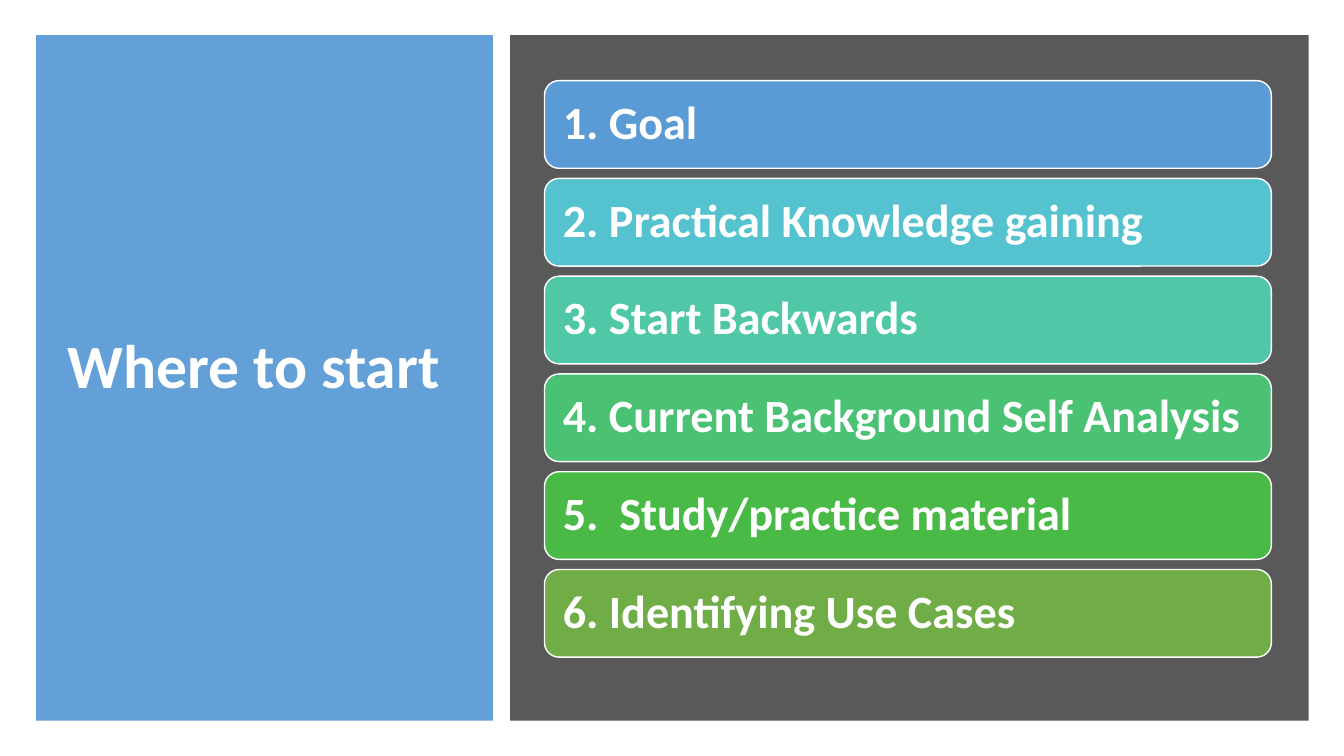
from lxml.etree import SubElement
from pptx import Presentation
from pptx.dml.color import RGBColor
from pptx.enum.shapes import MSO_SHAPE
from pptx.enum.text import MSO_ANCHOR, PP_ALIGN
from pptx.oxml.ns import qn
from pptx.util import Emu, Pt

PX = 9144
WHITE = "FFFFFF"
STEPS = [
    ("1. Goal", "5B9BD5"),
    ("2. Practical Knowledge gaining", "55C3CF"),
    ("3. Start Backwards", "50C8A7"),
    ("4. Current Background Self Analysis", "4BC174"),
    ("5.  Study/practice material", "4ABA46"),
    ("6. Identifying Use Cases", "70AD47"),
]


def px(n):
    return Emu(n * PX)


def rgb(value):
    return RGBColor.from_string(value)


class Deck:
    """Slide builder holding the shared style and the current slide."""

    def __init__(self, width, height, font="Calibri"):
        self.font = font
        self.prs = Presentation()
        self.prs.slide_width, self.prs.slide_height = px(width), px(height)
        self.slide = self.prs.slides.add_slide(self.prs.slide_layouts[5])

    def box(self, kind, x, y, w, h, fill, line=None, opacity=None):
        sp = self.slide.shapes.add_shape(kind, px(x), px(y), px(w), px(h))
        sp.shadow.inherit = False
        sp.fill.solid()
        sp.fill.fore_color.rgb = rgb(fill)
        if opacity:
            clr = next(sp.fill._xPr.iter(qn("a:srgbClr")))
            SubElement(clr, qn("a:alpha"), val=str(opacity * 1000))
        if line:
            sp.line.color.rgb = rgb(line)
            sp.line.width = Pt(1)
        else:
            sp.line.fill.background()
        return sp

    def text(self, sp, text, size, inset_x, inset_y):
        tf = sp.text_frame
        tf.word_wrap = True
        tf.vertical_anchor = MSO_ANCHOR.MIDDLE
        tf.margin_left = tf.margin_right = px(inset_x)
        tf.margin_top = tf.margin_bottom = px(inset_y)
        p = tf.paragraphs[0]
        p.alignment = PP_ALIGN.LEFT
        p.line_spacing = 0.9
        r = p.add_run()
        r.text = text
        r.font.name = self.font
        r.font.size = Pt(size)
        r.font.bold = True
        r.font.color.rgb = rgb(WHITE)

    def title(self, text, x, y, w, h):
        sp = self.slide.shapes.title
        sp.left, sp.top, sp.width, sp.height = px(x), px(y), px(w), px(h)
        self.text(sp, text, 44, 10, 5)
        return sp

    def card(self, text, x, y, w, h, fill):
        sp = self.box(MSO_SHAPE.ROUNDED_RECTANGLE, x, y, w, h, fill, WHITE)
        self.text(sp, text, 33, 14, 0)


def main():
    deck = Deck(1333, 750)
    panel = deck.box(MSO_SHAPE.RECTANGLE, 36, 35, 453, 680, "5B9BD5", opacity=95)
    title = deck.title("Where to start", 57, 64, 407, 604)
    title._element.addprevious(panel._element)
    deck.box(MSO_SHAPE.RECTANGLE, 506, 35, 792, 680, "595959")
    for i, (step, fill) in enumerate(STEPS):
        deck.card(step, 540, 80 + 97 * i, 721, 87, fill)
    deck.prs.save("out.pptx")


if __name__ == "__main__":
    main()
